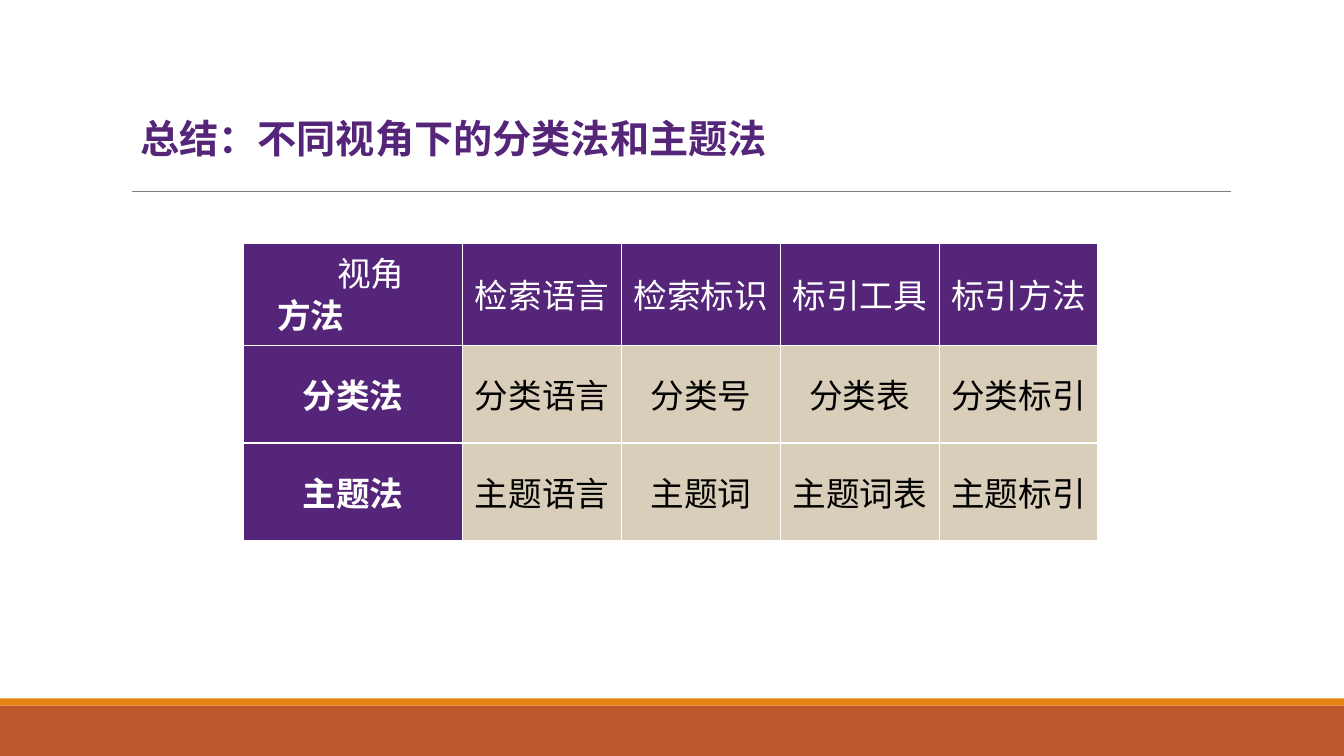
"""Build the summary slide comparing classification and subject methods."""
from lxml import etree
from pptx import Presentation
from pptx.dml.color import RGBColor
from pptx.enum.shapes import MSO_CONNECTOR, MSO_SHAPE
from pptx.enum.text import MSO_ANCHOR, PP_ALIGN
from pptx.oxml.ns import qn
from pptx.util import Inches, Pt

LEFT, CENTER = PP_ALIGN.LEFT, PP_ALIGN.CENTER
MIDDLE, TOP = MSO_ANCHOR.MIDDLE, MSO_ANCHOR.TOP
RECT, LINE = MSO_SHAPE.RECTANGLE, MSO_CONNECTOR.STRAIGHT
FONT = "Noto Sans CJK SC"
PURPLE, BEIGE, WHITE, BLACK = "552579", "D8CEBA", "FFFFFF", "000000"
WIDE, HIGH = 13.33, 7.5

TITLE = "总结：不同视角下的分类法和主题法"
SIDE = "方法"
ROWS = [
    ["视角", "检索语言", "检索标识", "标引工具", "标引方法"],
    ["分类法", "分类语言", "分类号", "分类表", "分类标引"],
    ["主题法", "主题语言", "主题词", "主题词表", "主题标引"],
]
BANDS = [(7, 0.5, "BD582C"), (6.93, 0.07, "E48312")]
GRID = (2.41, 2.41, 8.48, 2.95)
HEAD_W, HEAD_H = 2.18, 1.02


def rgb(code):
    return RGBColor.from_string(code)


def box(*nums):
    return [Inches(num) for num in nums]


def write(frame, text, size, color, bold=False, align=LEFT):
    frame.text = text
    para = frame.paragraphs[0]
    para.alignment = align
    font = para.runs[0].font
    font.size, font.bold, font.name = Pt(size), bold, FONT
    font.color.rgb = rgb(color)
    props = para.runs[0]._r.get_or_add_rPr()
    etree.SubElement(props, qn("a:ea"), typeface=FONT)


def border(cell, color, width):
    props = cell._tc.get_or_add_tcPr()
    for spot, side in enumerate(("L", "R", "T", "B")):
        line = etree.Element(qn("a:ln" + side), w=str(Pt(width)))
        fill = etree.SubElement(line, qn("a:solidFill"))
        etree.SubElement(fill, qn("a:srgbClr"), val=color)
        props.insert(spot, line)


def add_bands(slide):
    for top, tall, color in BANDS:
        band = slide.shapes.add_shape(RECT, *box(0, top, WIDE, tall))
        band.shadow.inherit = False
        band.fill.solid()
        band.fill.fore_color.rgb = rgb(color)
        band.line.fill.background()


def add_title(slide):
    title = slide.shapes.title
    title.left, title.top, title.width, title.height = box(1.29, 0.92, 9.21, 0.9)
    write(title.text_frame, TITLE, 28, PURPLE, True)
    title.text_frame.vertical_anchor = MIDDLE
    rule = slide.shapes.add_connector(LINE, *box(1.31, 1.9, 12.21, 1.9))
    rule.line.color.rgb = rgb("808080")
    rule.line.width = Pt(0.5)
    etree.SubElement(rule._element.spPr, qn("a:effectLst"))


def add_grid(slide):
    rows, cols = len(ROWS), len(ROWS[0])
    table = slide.shapes.add_table(rows, cols, *box(*GRID)).table
    for c, col in enumerate(table.columns):
        col.width = Inches((GRID[2] - HEAD_W) / (cols - 1) if c else HEAD_W)
    for r, row in enumerate(table.rows):
        row.height = Inches((GRID[3] - HEAD_H) / (rows - 1) if r else HEAD_H)
        for c, text in enumerate(ROWS[r]):
            cell = table.cell(r, c)
            body = r > 0 and c > 0
            write(cell.text_frame, text, 24, BLACK if body else WHITE,
                  r > 0 and c == 0, CENTER)
            cell.vertical_anchor = MIDDLE if r or c else TOP
            cell.fill.solid()
            cell.fill.fore_color.rgb = rgb(BEIGE if body else PURPLE)
            border(cell, WHITE, 1)
    table.cell(0, 0).margin_left = Inches(0.46)
    side = slide.shapes.add_textbox(*box(2.65, 2.88, 1.57, 0.5))
    side.text_frame.word_wrap = True
    write(side.text_frame, SIDE, 24, WHITE, True)


def main():
    deck = Presentation()
    deck.slide_width, deck.slide_height = box(WIDE, HIGH)
    slide = deck.slides.add_slide(deck.slide_layouts[5])
    add_bands(slide)
    add_title(slide)
    add_grid(slide)
    deck.save("out.pptx")


if __name__ == "__main__":
    main()
